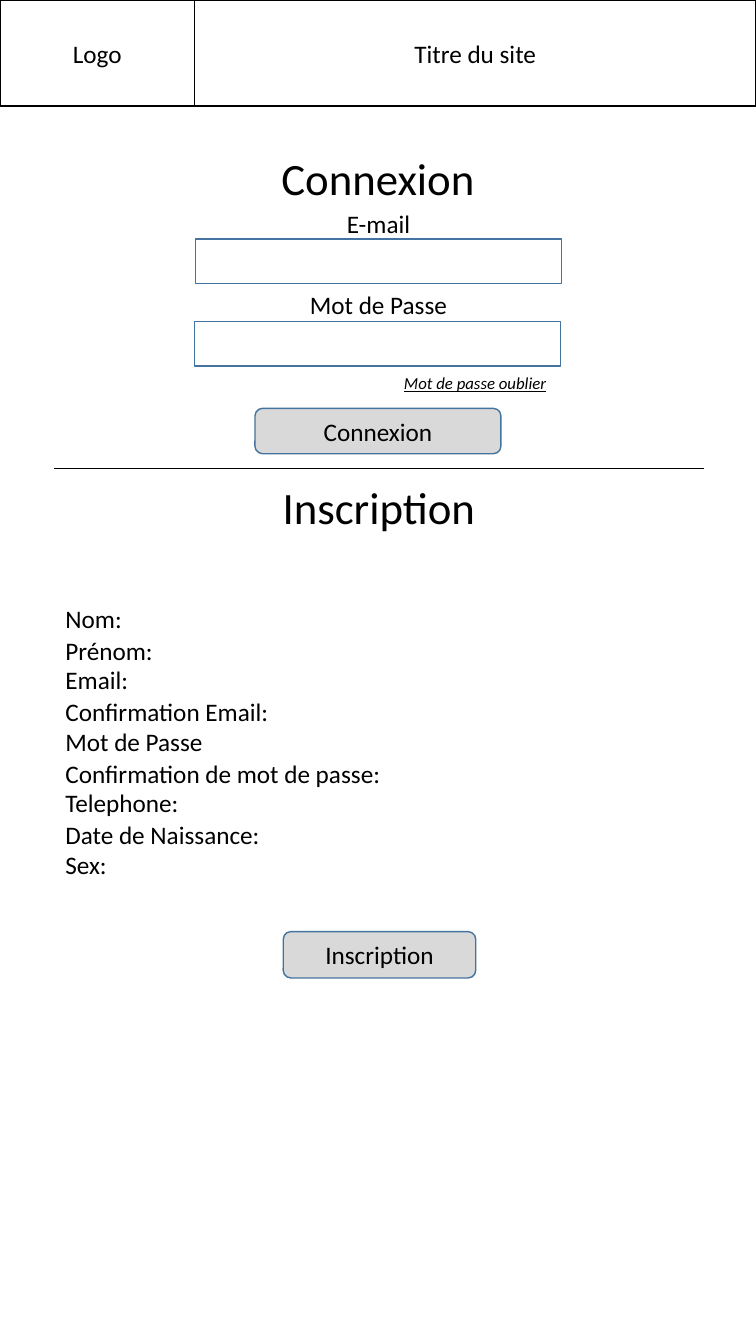
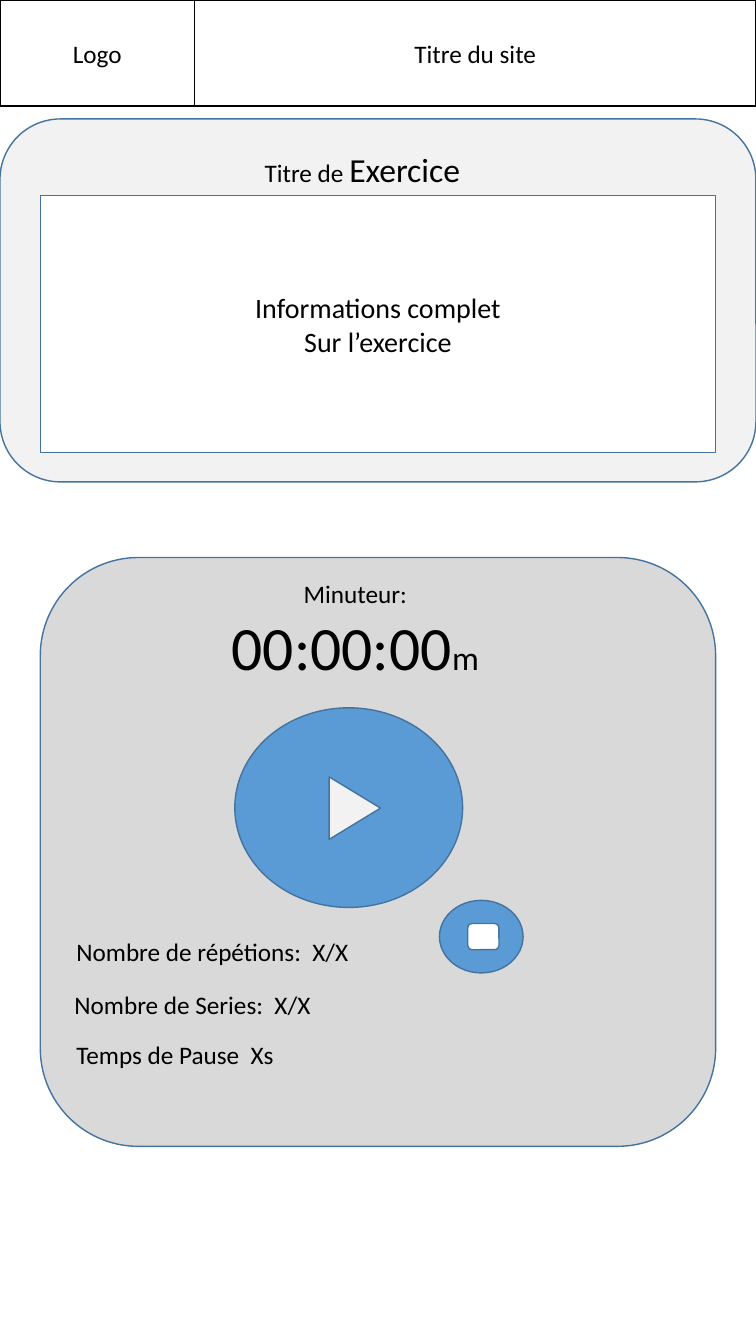
from dataclasses import dataclass
from typing import Optional

from pptx import Presentation
from pptx.dml.color import RGBColor
from pptx.enum import shapes as es, text as et
from pptx.oxml.ns import qn
from pptx.util import Inches, Pt

# Shared style
FONT = "Calibri"
BLACK, WHITE, PALE, GREY = "000000", "FFFFFF", "F2F2F2", "D9D9D9"
BLUE, EDGE = "5B9BD5", "43739E"
RECT = es.MSO_SHAPE.RECTANGLE
ROUND = es.MSO_SHAPE.ROUNDED_RECTANGLE
OVAL = es.MSO_SHAPE.OVAL
PLAY = es.MSO_SHAPE.ISOSCELES_TRIANGLE
LEFT, MID = et.PP_ALIGN.LEFT, et.PP_ALIGN.CENTER

Box = tuple[float, float, float, float]


@dataclass
class Shape:
    box: Box
    kind: es.MSO_SHAPE = RECT
    fill: str = WHITE
    line: str = EDGE
    text: str = ""
    size: int = 18
    turn: int = 0


@dataclass
class Label:
    box: Box
    text: str
    size: int = 18
    align: et.PP_ALIGN = MID
    link: bool = False
    tail: Optional[tuple[str, int]] = None  # last run: text and size


def color(code: str) -> RGBColor:
    return RGBColor.from_string(code)


def style(run, size: int, link: bool = False) -> None:
    font = run.font
    font.name, font.size = FONT, Pt(size)
    font.color.rgb = color(BLACK)
    if link:
        font.italic = font.underline = True


def write(frame, text: str, size: int, align: et.PP_ALIGN, link: bool = False) -> None:
    frame.text = text
    for para in frame.paragraphs:
        para.alignment = align
        for run in para.runs:
            style(run, size, link)


def draw_shape(slide, part: Shape) -> None:
    shape = slide.shapes.add_shape(part.kind, *map(Inches, part.box))
    shape.shadow.inherit = False
    shape.rotation = part.turn
    shape.fill.solid()
    shape.fill.fore_color.rgb = color(part.fill)
    shape.line.color.rgb = color(part.line)
    shape.line.width = Pt(1)
    if part.text:
        shape.text_frame.vertical_anchor = et.MSO_ANCHOR.MIDDLE
        write(shape.text_frame, part.text, part.size, MID)


def draw_label(slide, part: Label) -> None:
    frame = slide.shapes.add_textbox(*map(Inches, part.box)).text_frame
    frame.word_wrap = True
    frame.auto_size = et.MSO_AUTO_SIZE.SHAPE_TO_FIT_TEXT
    write(frame, part.text, part.size, part.align, part.link)
    if part.tail:
        run = frame.paragraphs[-1].add_run()
        run.text = part.tail[0]
        style(run, part.tail[1])


def draw_rule(slide, left: float, right: float, top: float) -> None:
    rule = slide.shapes.add_connector(
        es.MSO_CONNECTOR.STRAIGHT, *map(Inches, (left, top, right, top)))
    rule.line.color.rgb = color(BLACK)
    rule.line.width = Pt(0.5)
    props = rule._element.spPr
    props.append(props.makeelement(qn("a:effectLst"), {}))


def draw(slide, parts: list[Shape | Label]) -> None:
    for part in parts:
        if isinstance(part, Shape):
            draw_shape(slide, part)
        else:
            draw_label(slide, part)


deck = Presentation()
deck.slide_width, deck.slide_height = Inches(7.5), Inches(13.33)

# Header band of every page
HEAD = [
    Shape((0, 0, 1.93, 1.05), line=BLACK, text="Logo"),
    Shape((1.93, 0, 5.57, 1.05), line=BLACK, text="Titre du site"),
]


def add_page():
    slide = deck.slides.add_slide(deck.slide_layouts[6])
    draw(slide, HEAD)
    return slide


# Page 1: login
login = add_page()
draw(login, [
    Label((2.17, 1.45, 3.16, 0.64), "Connexion", 32),
    Label((1.94, 2.02, 3.63, 0.4), "E-mail"),
    Shape((1.94, 2.37, 3.63, 0.44)),
    Label((1.94, 2.82, 3.63, 0.4), "Mot de Passe"),
    Shape((1.93, 3.19, 3.63, 0.44)),
    Label((3.91, 3.65, 1.66, 0.3), "Mot de passe oublier", 12, LEFT, link=True),
    Shape((2.53, 4.05, 2.44, 0.45), ROUND, GREY, text="Connexion"),
])
draw_rule(login, 0.54, 6.98, 4.65)

# Page 1: sign-up, fields set in pairs
FIELDS = ["Nom:", "Prénom:", "Email:", "Confirmation Email:", "Mot de Passe",
          "Confirmation de mot de passe:", "Telephone:", "Date de Naissance:", "Sex:"]
draw(login, [
    Label((2.18, 4.71, 3.16, 0.64), "Inscription", 32),
    *(Label((0.55, 5.93 + 0.61 * (i // 2) + 0.32 * (i % 2), 3.42, 0.4), name, align=LEFT)
      for i, name in enumerate(FIELDS)),
    Shape((2.81, 9.24, 1.91, 0.46), ROUND, GREY, text="Inscription"),
])

# Page 2: exercise card
train = add_page()
draw(train, [
    Shape((0, 1.18, 7.5, 3.6), ROUND, PALE),
    Label((1.43, 1.43, 4.33, 0.5), "Titre de ", tail=("Exercice", 24)),
    Shape((0.4, 1.94, 6.7, 2.55), text="Informations complet\nSur l’exercice", size=20),
])

# Page 2: timer card with play and stop buttons
COUNTS = [(0.66, 9.24, "Nombre de répétions:  X/X"),
          (0.64, 9.76, "Nombre de Series:  X/X"),
          (0.66, 10.26, "Temps de Pause  Xs")]
draw(train, [
    Shape((0.4, 5.53, 6.7, 5.84), ROUND, GREY),
    Shape((2.33, 7.02, 2.26, 1.98), OVAL, BLUE),
    Shape((3.21, 7.76, 0.62, 0.51), PLAY, PALE, turn=90),
    Shape((4.36, 8.93, 0.83, 0.72), OVAL, BLUE),
    Shape((4.64, 9.16, 0.31, 0.26), ROUND),
    *(Label((left, top, 3.74, 0.42), text, align=LEFT) for left, top, text in COUNTS),
])
clock = Label((1.9, 5.69, 3.25, 1.19), "Minuteur:\n00:00:00", tail=("m", 24))
draw_label(train, clock)
digits = train.shapes[-1].text_frame.paragraphs[1].runs[0]
style(digits, 44)

deck.save("out.pptx")
